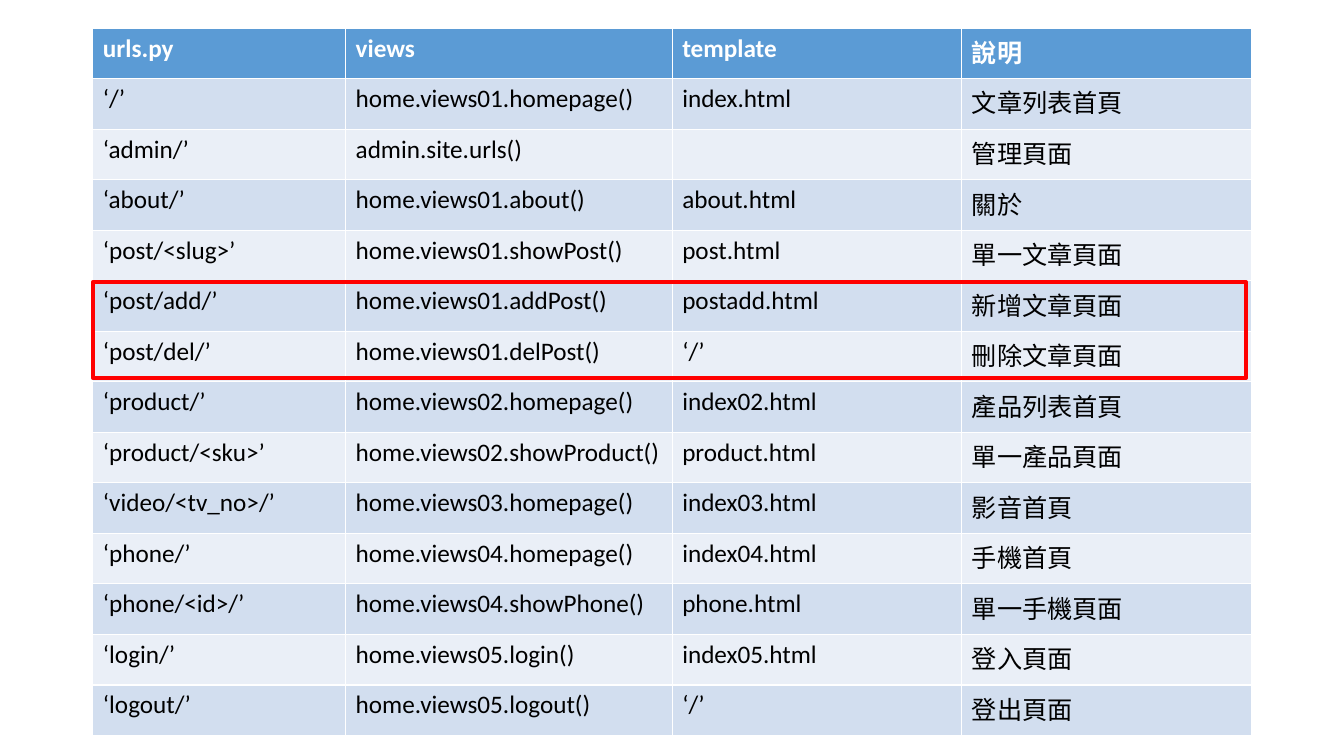
from dataclasses import dataclass

from pptx import Presentation
from pptx.dml.color import RGBColor
from pptx.enum.shapes import MSO_SHAPE
from pptx.util import Cm, Pt

RECTANGLE = MSO_SHAPE.RECTANGLE


@dataclass(frozen=True)
class Theme:
    header_fill: RGBColor = RGBColor(0x5B, 0x9B, 0xD5)
    header_text: RGBColor = RGBColor(0xFF, 0xFF, 0xFF)
    odd_fill: RGBColor = RGBColor(0xD2, 0xDE, 0xEF)
    even_fill: RGBColor = RGBColor(0xEA, 0xEF, 0xF7)
    body_text: RGBColor = RGBColor(0, 0, 0)
    highlight: RGBColor = RGBColor(0xFF, 0, 0)
    font: str = "Calibri"
    text_size: Pt = Pt(18)
    highlight_width: Pt = Pt(3)


theme = Theme()

routes = [
    ("urls.py", "views", "template", "說明"),
    ("‘/’", "home.views01.homepage()", "index.html", "文章列表首頁"),
    ("‘admin/’", "admin.site.urls()", "", "管理頁面"),
    ("‘about/’", "home.views01.about()", "about.html", "關於"),
    ("‘post/<slug>’", "home.views01.showPost()", "post.html", "單一文章頁面"),
    ("‘post/add/’", "home.views01.addPost()", "postadd.html", "新增文章頁面"),
    ("‘post/del/’", "home.views01.delPost()", "‘/’", "刪除文章頁面"),
    ("‘product/’", "home.views02.homepage()", "index02.html", "產品列表首頁"),
    ("‘product/<sku>’", "home.views02.showProduct()", "product.html", "單一產品頁面"),
    ("‘video/<tv_no>/’", "home.views03.homepage()", "index03.html", "影音首頁"),
    ("‘phone/’", "home.views04.homepage()", "index04.html", "手機首頁"),
    ("‘phone/<id>/’", "home.views04.showPhone()", "phone.html", "單一手機頁面"),
    ("‘login/’", "home.views05.login()", "index05.html", "登入頁面"),
    ("‘logout/’", "home.views05.logout()", "‘/’", "登出頁面"),
]
column_widths = [6.37, 8.23, 7.3, 7.3]

presentation = Presentation()
presentation.slide_width = Cm(33.87)
presentation.slide_height = Cm(19.05)
slide = presentation.slides.add_slide(presentation.slide_layouts[6])

route_table = slide.shapes.add_table(
    len(routes), len(column_widths),
    Cm(2.34), Cm(0.71), Cm(sum(column_widths)), Cm(17.83),
).table
for column, width in zip(route_table.columns, column_widths):
    column.width = Cm(width)

for row_index, route in enumerate(routes):
    is_header = row_index == 0
    if is_header:
        row_fill, text_color = theme.header_fill, theme.header_text
    else:
        row_fill = theme.odd_fill if row_index % 2 else theme.even_fill
        text_color = theme.body_text
    for column_index, entry in enumerate(route):
        cell = route_table.cell(row_index, column_index)
        cell.fill.solid()
        cell.fill.fore_color.rgb = row_fill
        cell.text_frame.text = entry
        for run in cell.text_frame.paragraphs[0].runs:
            run.font.name = theme.font
            run.font.size = theme.text_size
            run.font.bold = is_header
            run.font.color.rgb = text_color

post_highlight = slide.shapes.add_shape(
    RECTANGLE, Cm(2.34), Cm(7.11), Cm(29.06), Cm(2.41)
)
post_highlight.shadow.inherit = False
post_highlight.fill.background()
post_highlight.line.color.rgb = theme.highlight
post_highlight.line.width = theme.highlight_width

presentation.save("out.pptx")
